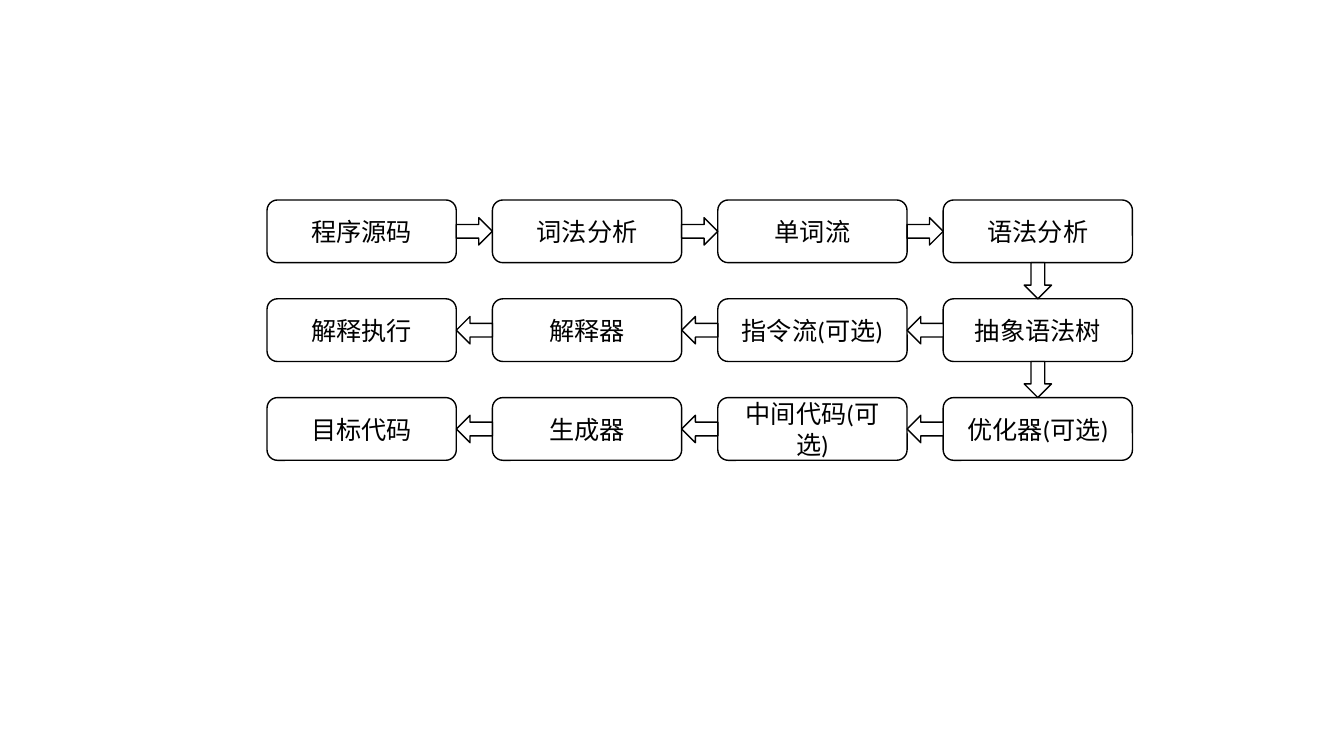
from pptx import Presentation
from pptx.dml.color import RGBColor
from pptx.enum import shapes, text
from pptx.util import Cm, Pt

# Content: each row of stages, left to right, with the turn of its arrows
ROWS = [
    (["程序源码", "词法分析", "单词流", "语法分析"], 0),
    (["解释执行", "解释器", "指令流(可选)", "抽象语法树"], 180),
    (["目标代码", "生成器", "中间代码(可选)", "优化器(可选)"], 180),
]

# Layout in centimetres
LEFT, TOP = 6.73, 5.04
BOX_WIDTH, BOX_HEIGHT = 4.77, 1.58
GAP = 0.91
ARROW_HEIGHT = 0.69

# Style
BLACK = RGBColor(0, 0, 0)
WHITE = RGBColor(255, 255, 255)
FONT = {"name": "Calibri", "size": Pt(18)}


def add_outlined(slide, kind, center_x, center_y, width, height):
    shape = slide.shapes.add_shape(
        kind, Cm(center_x - width / 2), Cm(center_y - height / 2), Cm(width), Cm(height))
    shape.shadow.inherit = False
    shape.fill.solid()
    shape.fill.fore_color.rgb = WHITE
    shape.line.color.rgb = BLACK
    shape.line.width = Pt(1)
    return shape


def add_stage(slide, label, center_x, center_y):
    box = add_outlined(slide, shapes.MSO_SHAPE.ROUNDED_RECTANGLE,
                       center_x, center_y, BOX_WIDTH, BOX_HEIGHT)
    frame = box.text_frame
    frame.word_wrap = True
    frame.vertical_anchor = text.MSO_ANCHOR.MIDDLE
    paragraph = frame.paragraphs[0]
    paragraph.alignment = text.PP_ALIGN.CENTER
    run = paragraph.add_run()
    run.text = label
    for name, value in FONT.items():
        setattr(run.font, name, value)
    run.font.color.rgb = BLACK


def add_arrow(slide, center_x, center_y, turn):
    arrow = add_outlined(slide, shapes.MSO_SHAPE.RIGHT_ARROW,
                         center_x, center_y, GAP, ARROW_HEIGHT)
    arrow.rotation = turn


def main():
    presentation = Presentation()
    presentation.slide_width = Cm(33.87)
    presentation.slide_height = Cm(19.05)
    slide = presentation.slides.add_slide(presentation.slide_layouts[6])

    step_x, step_y = BOX_WIDTH + GAP, BOX_HEIGHT + GAP
    for row, (labels, turn) in enumerate(ROWS):
        center_y = TOP + BOX_HEIGHT / 2 + row * step_y
        for column, label in enumerate(labels):
            center_x = LEFT + BOX_WIDTH / 2 + column * step_x
            add_stage(slide, label, center_x, center_y)
            # Arrow between this stage and its left neighbour
            if column > 0:
                add_arrow(slide, center_x - step_x / 2, center_y, turn)
        # Arrow down to the last stage of this row
        if row > 0:
            add_arrow(slide, center_x, center_y - step_y / 2, 90)

    presentation.save("out.pptx")


if __name__ == "__main__":
    main()
